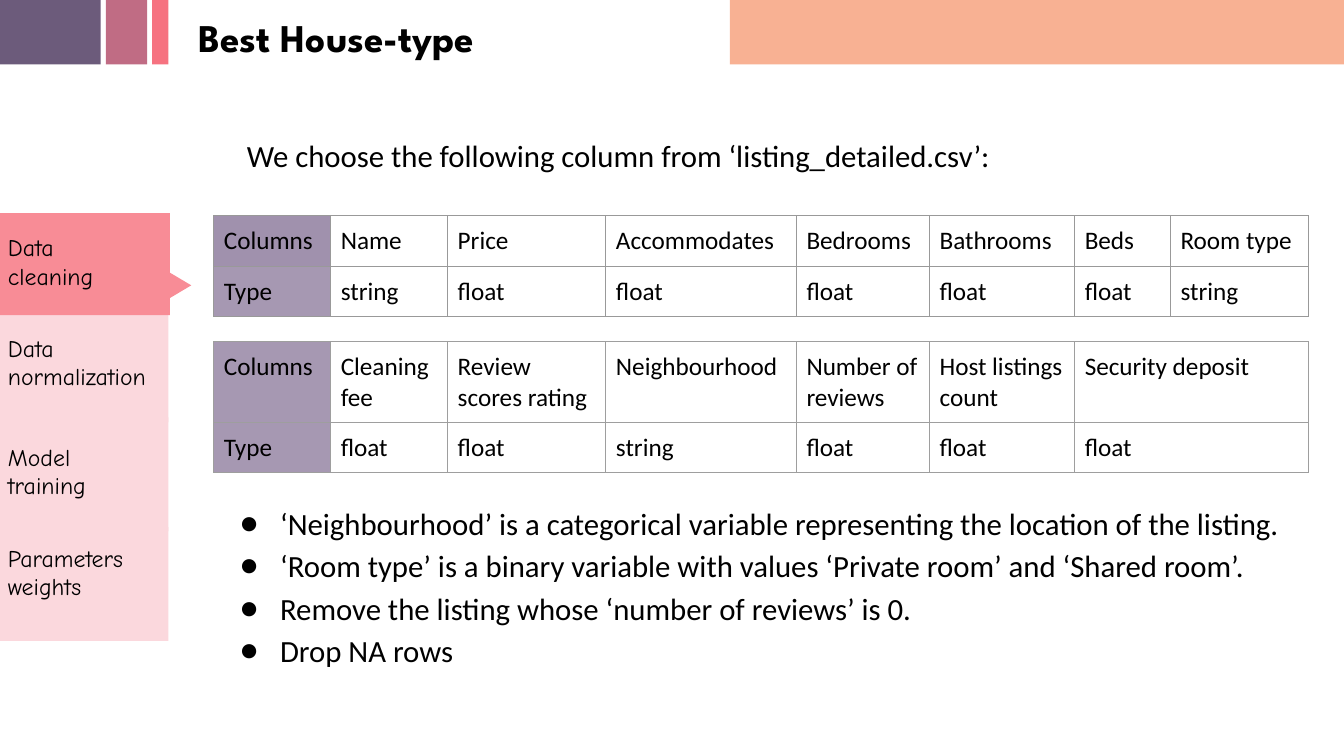
"""Build the slide that lists the columns chosen for the best house-type model."""
from dataclasses import dataclass

from lxml import etree
from pptx import Presentation
from pptx.dml.color import RGBColor
from pptx.enum.shapes import MSO_SHAPE
from pptx.oxml.ns import qn
from pptx.util import Inches, Pt

RECTANGLE = MSO_SHAPE.RECTANGLE
CALLOUT = MSO_SHAPE.RECTANGULAR_CALLOUT

BLACK, WHITE = "000000", "FFFFFF"
STEP_PINK, ACTIVE_PINK = "FBD8DD", "F88C96"
MAUVE, DEEP_MAUVE = "A698B2", "A091AD"
BODY_FONT, STEP_FONT, TITLE_FONT = "Calibri", "Comic Neue", "League Spartan"
BORDER_WIDTH = Pt(0.75)
CELL_BORDERS = ("a:lnL", "a:lnR", "a:lnT", "a:lnB")


@dataclass(frozen=True)
class Block:
    left: float
    top: float
    width: float
    height: float
    fill: str


@dataclass(frozen=True)
class Step:
    label: str
    top: float
    width: float = 2.01


@dataclass(frozen=True)
class ColumnTable:
    top: float
    widths: tuple[float, ...]
    heights: tuple[float, float]
    head_fills: tuple[str, str]
    border: str
    names: tuple[str, ...]
    types: tuple[str, ...]


SHARED_WIDTHS = (1.16, 1.16, 1.57, 1.89, 1.32, 1.44)

BLOCKS = (
    Block(7.24, 0, 6.09, 0.64, "F8B193"),
    Block(0, 0, 1, 0.64, "6C5B7B"),
    Block(1.05, 0, 0.41, 0.64, "C06C84"),
    Block(1.51, 0, 0.16, 0.64, "F67280"),
    *(Block(0, top, 1.67, 1.13, STEP_PINK) for top in (3.06, 4.14, 5.23)),
)

STEPS = (
    Step("Data\ncleaning", 2.21, 1.28),
    Step("Data\nnormalization", 3.21),
    Step("Model\ntraining", 4.29),
    Step("Parameters\nweights", 5.29),
)

TABLES = (
    ColumnTable(
        2.14, (*SHARED_WIDTHS, 0.95, 1.37), (0.5, 0.5), (DEEP_MAUVE, MAUVE), "999999",
        ("Columns", "Name", "Price", "Accommodates", "Bedrooms", "Bathrooms", "Beds", "Room type"),
        ("Type", "string", "float", "float", "float", "float", "float", "string"),
    ),
    ColumnTable(
        3.39, (*SHARED_WIDTHS, 2.32), (0.8, 0.5), (MAUVE, MAUVE), "9E9E9E",
        ("Columns", "Cleaning fee", "Review scores rating", "Neighbourhood",
         "Number of reviews", "Host listings count", "Security deposit"),
        ("Type", "float", "float", "string", "float", "float", "float"),
    ),
)

NOTES = "\n".join((
    "‘Neighbourhood’ is a categorical variable representing the location of the listing.",
    "‘Room type’ is a binary variable with values ‘Private room’ and ‘Shared room’.",
    "Remove the listing whose ‘number of reviews’ is 0.",
    "Drop NA rows",
))


def rgb(color: str) -> RGBColor:
    return RGBColor.from_string(color)


def add_bullet(paragraph) -> None:
    properties = paragraph._p.get_or_add_pPr()
    properties.set("marL", str(Inches(0.5)))
    properties.set("indent", str(Inches(-0.4)))
    bullet_color = etree.SubElement(properties, qn("a:buClr"))
    etree.SubElement(bullet_color, qn("a:srgbClr"), val=BLACK)
    etree.SubElement(properties, qn("a:buFont"), typeface=BODY_FONT)
    etree.SubElement(properties, qn("a:buChar"), char="●")


def write(frame, text: str, *, size: float, font: str = BODY_FONT, bold: bool = False,
          bullets: bool = False, spacing: float | None = None) -> None:
    for index, line in enumerate(text.split("\n")):
        paragraph = frame.add_paragraph() if index else frame.paragraphs[0]
        if bullets:
            add_bullet(paragraph)
        if spacing:
            paragraph.line_spacing = spacing
        run = paragraph.add_run()
        run.text = line
        run.font.size = Pt(size)
        run.font.name = font
        run.font.bold = bold
        run.font.color.rgb = rgb(BLACK)


def add_text(slide, left: float, top: float, width: float, height: float, text: str, *,
             inset: float = 0.1, **text_format) -> None:
    box = slide.shapes.add_textbox(Inches(left), Inches(top), Inches(width), Inches(height))
    frame = box.text_frame
    frame.word_wrap = True
    frame.margin_left = frame.margin_right = Inches(0.1)
    frame.margin_top = frame.margin_bottom = Inches(inset)
    write(frame, text, **text_format)


def add_block(slide, block: Block, kind=RECTANGLE):
    shape = slide.shapes.add_shape(kind, Inches(block.left), Inches(block.top),
                                   Inches(block.width), Inches(block.height))
    shape.shadow.inherit = False
    shape.fill.solid()
    shape.fill.fore_color.rgb = rgb(block.fill)
    shape.line.fill.background()
    return shape


def add_active_marker(slide) -> None:
    marker = add_block(slide, Block(0.33, 1.77, 1.01, 1.7, ACTIVE_PINK), CALLOUT)
    marker.rotation = 270
    marker.adjustments[0] = -0.208
    marker.adjustments[1] = 0.625


def style_cell(cell, fill: str, border: str) -> None:
    cell.margin_left = cell.margin_right = Inches(0.1)
    cell.margin_top = cell.margin_bottom = Inches(0.1)
    properties = cell._tc.get_or_add_tcPr()
    for side in CELL_BORDERS:
        line = etree.SubElement(properties, qn(side), w=str(BORDER_WIDTH))
        solid = etree.SubElement(line, qn("a:solidFill"))
        etree.SubElement(solid, qn("a:srgbClr"), val=border)
    cell.fill.solid()
    cell.fill.fore_color.rgb = rgb(fill)


def add_column_table(slide, content: ColumnTable) -> None:
    frame = slide.shapes.add_table(2, len(content.widths), Inches(2.12), Inches(content.top),
                                   Inches(sum(content.widths)), Inches(sum(content.heights)))
    table = frame.table
    table.first_row = table.horz_banding = False
    for column, width in zip(table.columns, content.widths):
        column.width = Inches(width)
    for row, height, head_fill, labels in zip(table.rows, content.heights, content.head_fills,
                                              (content.names, content.types)):
        row.height = Inches(height)
        for index, (cell, label) in enumerate(zip(row.cells, labels)):
            style_cell(cell, WHITE if index else head_fill, content.border)
            write(cell.text_frame, label, size=18)


def main() -> None:
    deck = Presentation()
    deck.slide_width, deck.slide_height = Inches(13.33), Inches(7.5)
    slide = deck.slides.add_slide(deck.slide_layouts[6])
    for block in BLOCKS:
        add_block(slide, block)
    add_active_marker(slide)
    for step in STEPS:
        add_text(slide, -0.02, step.top, step.width, 0.64, step.label, size=17, font=STEP_FONT)
    add_text(slide, 2.35, 1.26, 8.81, 0.64,
             "We choose the following column from ‘listing_detailed.csv’:", size=22)
    for table in TABLES:
        add_column_table(slide, table)
    add_text(slide, 2.18, 4.85, 11.07, 2.33, NOTES, size=22, bullets=True, spacing=1.15)
    add_text(slide, 1.87, 0.08, 5.18, 1.04, "Best House-type", inset=0.05,
             size=28, font=TITLE_FONT, bold=True)
    deck.save("out.pptx")


if __name__ == "__main__":
    main()
